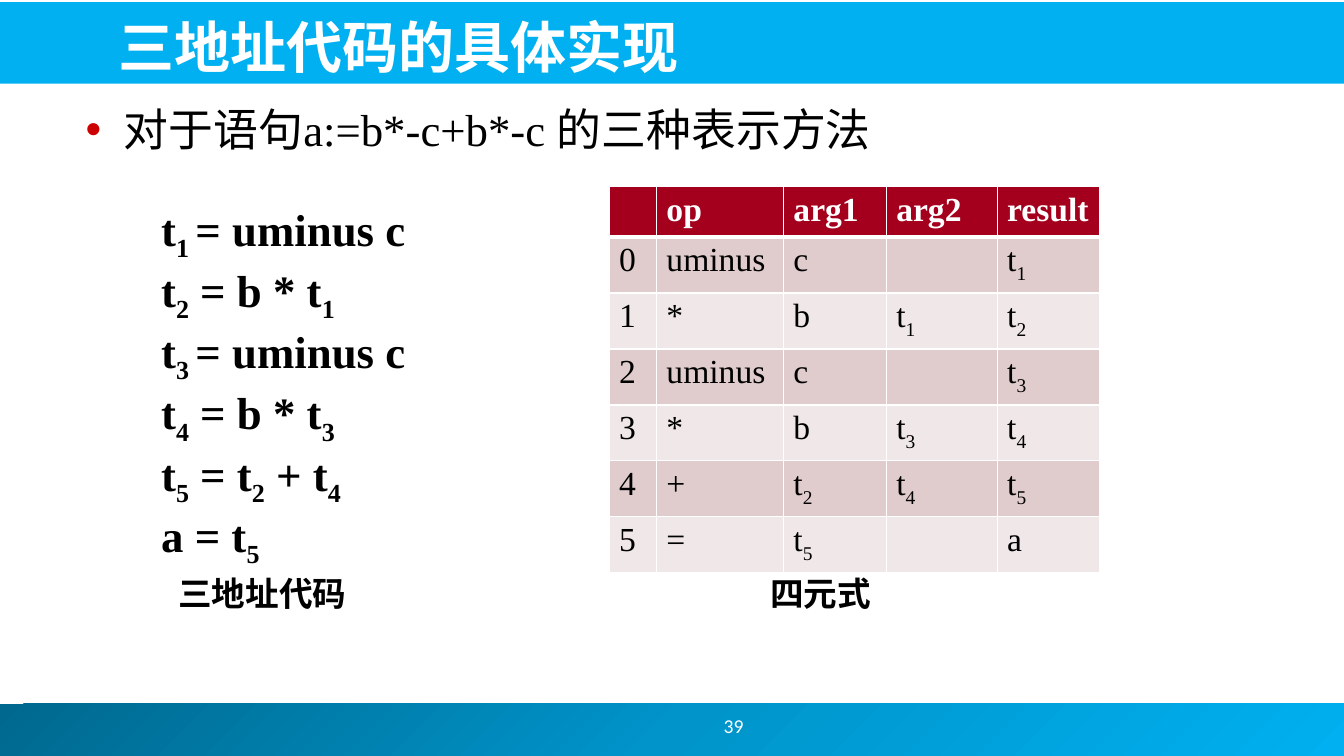
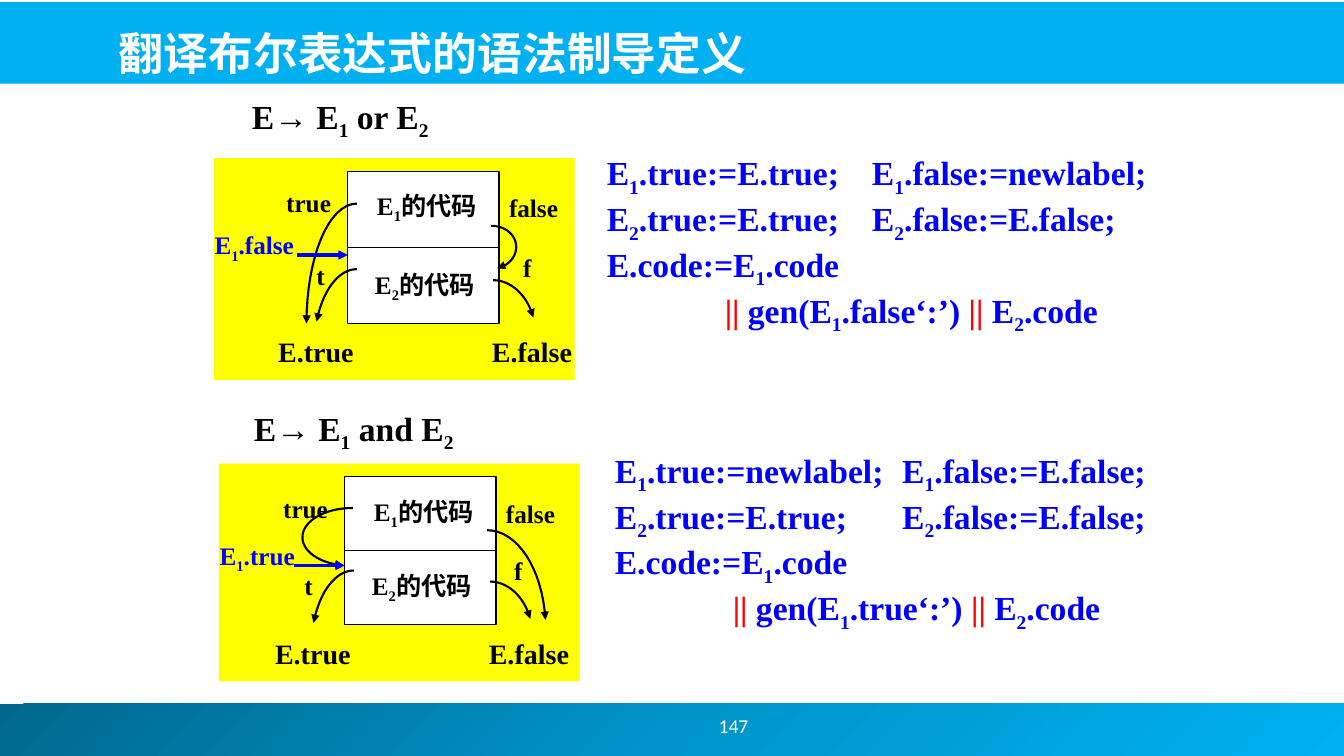
from copy import deepcopy

from lxml import etree
from pptx import Presentation
from pptx.dml.color import RGBColor
from pptx.enum import shapes, text
from pptx.oxml import ns
from pptx.util import Inches, Pt

COLORS = {
    "white": "FFFFFF", "black": "000000", "blue": "0000FF", "red": "FF0000",
    "yellow": "FFFF00", "band": "00B0F0", "band_mid": "0094CA",
    "band_dark": "00688E", "bullet": "CC0000", "head": "A4001D",
    "row_dark": "E0CCCD", "row_light": "F0E7E8",
}
LATIN, CJK, NUMBER = "Times New Roman", "Noto Sans CJK JP", "Calibri"


def rgb(name):
    return RGBColor.from_string(COLORS[name])


def add_xml(parent, tag, **attrs):
    return etree.SubElement(parent, ns.qn(tag), attrs)


def add_solid(parent, color):
    add_xml(add_xml(parent, "a:solidFill"), "a:srgbClr", val=COLORS[color])


def write(p, line, size=24, font=LATIN, color="black", bold=True, align="LEFT"):
    """Fill a paragraph; {..} is a subscript and || is red."""
    p.alignment = text.PP_ALIGN[align]
    for i, part in enumerate(line.replace("}", "{").split("{")):
        for j, piece in enumerate(part.replace("||", "\v||\v").split("\v")):
            if not piece:
                continue
            r = p.add_run()
            r.text = piece
            f = r.font
            f.name, f.size, f.bold = font, Pt(size), bold
            f.color.rgb = rgb("red" if j % 2 else color)
            rpr = f._element
            add_xml(rpr, "a:ea", typeface=CJK)
            if i % 2:
                rpr.set("baseline", "-25000")


def curve_points(points, steps=16):
    """Sample a chain of cubic Bezier curves."""
    out = [points[0]]
    for k in range(0, len(points) - 1, 3):
        for n in range(1, steps + 1):
            t = n / steps
            weights = ((1 - t) ** 3, 3 * t * (1 - t) ** 2, 3 * t * t * (1 - t), t ** 3)
            out.append(tuple(sum(w * pt[axis] for w, pt in zip(weights, points[k:k + 4]))
                             for axis in (0, 1)))
    return out


class Deck:
    def __init__(self):
        self.prs = Presentation()
        self.prs.slide_width, self.prs.slide_height = Inches(13.33), Inches(7.5)
        self.s = None

    def slide(self, title, number, title_size):
        self.s = self.prs.slides.add_slide(self.prs.slide_layouts[6])
        footer = self.rect(0, 6.98, 13.33, 0.52, None)
        footer.fill.gradient()
        footer.fill.gradient_angle = 315
        stops = footer._element.xpath(".//a:gsLst")[0]
        stops.insert(1, deepcopy(stops[0]))
        names = ("band_dark", "band_mid", "band")
        for i, (stop, name) in enumerate(zip(footer.fill.gradient_stops, names)):
            stop.color.rgb = rgb(name)
            stop.position = i / 2
        self.rect(-0.02, 0.02, 13.36, 0.81, "band")
        self.text(5.83, 6.95, 2.89, 0.5, number, anchor="MIDDLE", size=14,
                  font=NUMBER, color="white", bold=False, align="CENTER")
        self.text(1.08, 0.05, 11.81, 0.79, title, anchor="BOTTOM", wrap=True,
                  size=title_size, font=CJK, color="white")

    def rect(self, x, y, w, h, fill, line=None):
        sp = self.s.shapes.add_shape(shapes.MSO_SHAPE.RECTANGLE, Inches(x), Inches(y),
                                     Inches(w), Inches(h))
        sp.shadow.inherit = False
        if fill:
            sp.fill.solid()
            sp.fill.fore_color.rgb = rgb(fill)
        if line:
            sp.line.color.rgb, sp.line.width = rgb(line), Pt(0.75)
        else:
            sp.line.fill.background()
        return sp

    def text(self, x, y, w, h, *lines, anchor="TOP", wrap=False, **style):
        tf = self.s.shapes.add_textbox(Inches(x), Inches(y), Inches(w), Inches(h)).text_frame
        tf.word_wrap = wrap
        tf.vertical_anchor = text.MSO_ANCHOR[anchor]
        for i, line in enumerate(lines):
            write(tf.add_paragraph() if i else tf.paragraphs[0], line, **style)
        return tf

    def bullet(self, x, y, w, h, line, **style):
        tf = self.text(x, y, w, h, wrap=True)
        ppr = tf.paragraphs[0]._p.get_or_add_pPr()
        ppr.set("marL", str(Inches(0.38)))
        ppr.set("indent", str(Inches(-0.38)))
        add_xml(add_xml(ppr, "a:buClr"), "a:srgbClr", val=COLORS["bullet"])
        add_xml(ppr, "a:buFont", typeface="Arial")
        add_xml(ppr, "a:buChar", char="•")
        write(tf.paragraphs[0], line, **style)

    def rules(self, x, y, tab, *lines):
        """Semantic rules: a tab column, and the last line indented."""
        tf = self.text(x, y, 5.8, 1.72, *lines, anchor="MIDDLE", wrap=True, color="blue")
        for p in tf.paragraphs:
            tabs = add_xml(p._p.get_or_add_pPr(), "a:tabLst")
            add_xml(tabs, "a:tab", pos=str(Inches(tab)), algn="l")
        last = tf.paragraphs[-1]._p.get_or_add_pPr()
        last.set("marL", str(Inches(1.17)))
        last.set("indent", "0")

    def stroke(self, line, color, width, arrow):
        line.color.rgb, line.width = rgb(color), Pt(width)
        if arrow:
            add_xml(line._get_or_add_ln(), "a:tailEnd", type="triangle")

    def line(self, x1, x2, y, color="black", width=0.75, arrow=False):
        c = self.s.shapes.add_connector(shapes.MSO_CONNECTOR.STRAIGHT, Inches(x1),
                                        Inches(y), Inches(x2), Inches(y))
        self.stroke(c.line, color, width, arrow)
        add_xml(c._element.spPr, "a:effectLst")

    def curve(self, x, y, points):
        pts = [(Inches(x + a), Inches(y + b)) for a, b in curve_points(points)]
        builder = self.s.shapes.build_freeform(*pts[0], scale=1.0)
        builder.add_line_segments(pts[1:], close=False)
        sp = builder.convert_to_shape()
        sp.shadow.inherit = False
        sp.fill.background()
        self.stroke(sp.line, "black", 1.5, True)

    def table(self, x, y, widths, row_height, rows):
        frame = self.s.shapes.add_table(len(rows), len(widths), Inches(x), Inches(y),
                                        Inches(sum(widths)), Inches(row_height * len(rows)))
        tbl = frame.table
        for col, width in zip(tbl.columns, widths):
            col.width = Inches(width)
        for i, row in enumerate(rows):
            tbl.rows[i].height = Inches(row_height)
            fill = "row_dark" if i % 2 else "row_light"
            for j, value in enumerate(row):
                cell = tbl.cell(i, j)
                write(cell.text_frame.paragraphs[0], value, bold=i == 0,
                      color="black" if i else "white")
                tcpr = cell._tc.get_or_add_tcPr()
                for side in "LRTB":
                    thick = (i, side) in ((0, "B"), (1, "T"))
                    ln = add_xml(tcpr, "a:ln" + side, w=str(Pt(3 if thick else 1)))
                    add_solid(ln, "white")
                add_solid(tcpr, fill if i else "head")

    def jump_diagram(self, x, y, h, panel_x, entry, entry_y, t_at, f_at, true_arc, false_arc):
        """Code boxes for E1 and E2 at x, y with their true and false exits."""
        self.rect(panel_x, y - 0.13, 3.58, h + 0.69, "yellow")
        self.rect(x, y, 1.5, h, "white", "black")
        self.line(x, x + 1.5, y + h / 2)
        t_arc = [(0.09, h - 0.54), (-0.09, h - 0.54), (-0.25, h - 0.33), (-0.31, h - 0.02)]
        f_arc = [(1.44, h - 0.43), (1.62, h - 0.43), (1.78, h - 0.28), (1.84, h - 0.06)]
        for arc in (true_arc, false_arc, t_arc, f_arc):
            self.curve(x, y, arc)
        self.line(x - 0.5, x, y + entry_y, "blue", 2.25, True)
        labels = [
            ("E{1}的代码", 0.19, 0.16, 1.21, 18, "black"),
            ("E{2}的代码", 0.17, h - 0.57, 1.21, 18, "black"),
            ("true", -0.71, 0.11, 0.65, 18, "black"),
            ("false", 1.5, 0.16, 0.69, 18, "black"),
            ("t", *t_at, 0.29, 18, "black"),
            ("f", *f_at, 0.29, 18, "black"),
            ("E.true", -0.79, h + 0.06, 0.96, 20, "black"),
            ("E.false", 1.33, h + 0.06, 1, 20, "black"),
            (entry, panel_x - x - 0.09, entry_y - 0.28, 1, 18, "blue"),
        ]
        for label, dx, dy, w, size, color in labels:
            self.text(x + dx, y + dy, w, 0.4 if size == 18 else 0.44, label,
                      anchor="MIDDLE", wrap="代码" in label, size=size, color=color)


def three_address_slide(deck):
    deck.slide("三地址代码的具体实现", "39", 40)
    deck.bullet(0.75, 0.96, 9.33, 0.83, "对于语句a:=b*-c+b*-c 的三种表示方法",
                size=32, bold=False)
    deck.text(1.5, 1.95, 2.68, 3.33, "t{1 }= uminus c", "t{2} = b * t{1}",
              "t{3 }= uminus c", "t{4} = b * t{3}", "t{5} = t{2} + t{4}", "a = t{5}", size=32)
    deck.table(6.04, 1.85, (0.47, 1.26, 1.02, 1.1, 1.02), 0.41, [
        ("", "op", "arg1", "arg2", "result"),
        ("0", "uminus", "c", "", "t{1}"),
        ("1", "*", "b", "t{1}", "t{2}"),
        ("2", "uminus", "c", "", "t{3}"),
        ("3", "*", "b", "t{3}", "t{4}"),
        ("4", "+", "t{2}", "t{4}", "t{5}"),
        ("5", "=", "t{5}", "", "a"),
    ])
    for x, w, caption in ((1.67, 1.89, "三地址代码"), (7.54, 1.21, "四元式")):
        deck.text(x, 5.63, w, 0.51, caption, font=CJK)


def boolean_slide(deck):
    deck.slide("翻译布尔表达式的语法制导定义", "147", 32)
    deck.text(2.4, 0.93, 1.99, 0.5, "E→ E{1} or E{2}", anchor="MIDDLE")
    deck.rules(5.92, 1.56, 2.63,
               "E{1}.true:=E.true;\tE{1}.false:=newlabel;",
               "E{2}.true:=E.true;\tE{2}.false:=E.false;",
               "E.code:=E{1}.code",
               "|| gen(E{1}.false‘:’) || E{2}.code")
    deck.jump_diagram(
        3.45, 1.7, 1.51, 2.12, "E{1}.false", 0.83, (-0.41, 0.83), (1.64, 0.75),
        [(0.09, 0.32), (-0.19, 0.32), (-0.41, 0.85), (-0.41, 1.51)],
        [(1.42, 0.54), (1.56, 0.54), (1.67, 0.63), (1.67, 0.75),
         (1.67, 0.85), (1.59, 0.94), (1.48, 0.96)])
    deck.text(2.42, 4.02, 2.23, 0.5, "E→ E{1} and E{2}", anchor="MIDDLE")
    deck.rules(6, 4.51, 2.85,
               "E{1}.true:=newlabel;\tE{1}.false:=E.false;",
               "E{2}.true:=E.true;\tE{2}.false:=E.false;",
               "E.code:=E{1}.code",
               "|| gen(E{1}.true‘:’) || E{2}.code")
    deck.jump_diagram(
        3.42, 4.73, 1.47, 2.17, "E{1}.true", 0.88, (-0.5, 0.88), (1.58, 0.73),
        [(0.08, 0.31), (-0.2, 0.31), (-0.42, 0.44), (-0.42, 0.6),
         (-0.42, 0.74), (-0.25, 0.86), (-0.01, 0.88)],
        [(1.41, 0.53), (1.71, 0.53), (1.96, 0.91), (1.99, 1.42)])


def main():
    deck = Deck()
    three_address_slide(deck)
    boolean_slide(deck)
    deck.prs.save("out.pptx")


if __name__ == "__main__":
    main()
